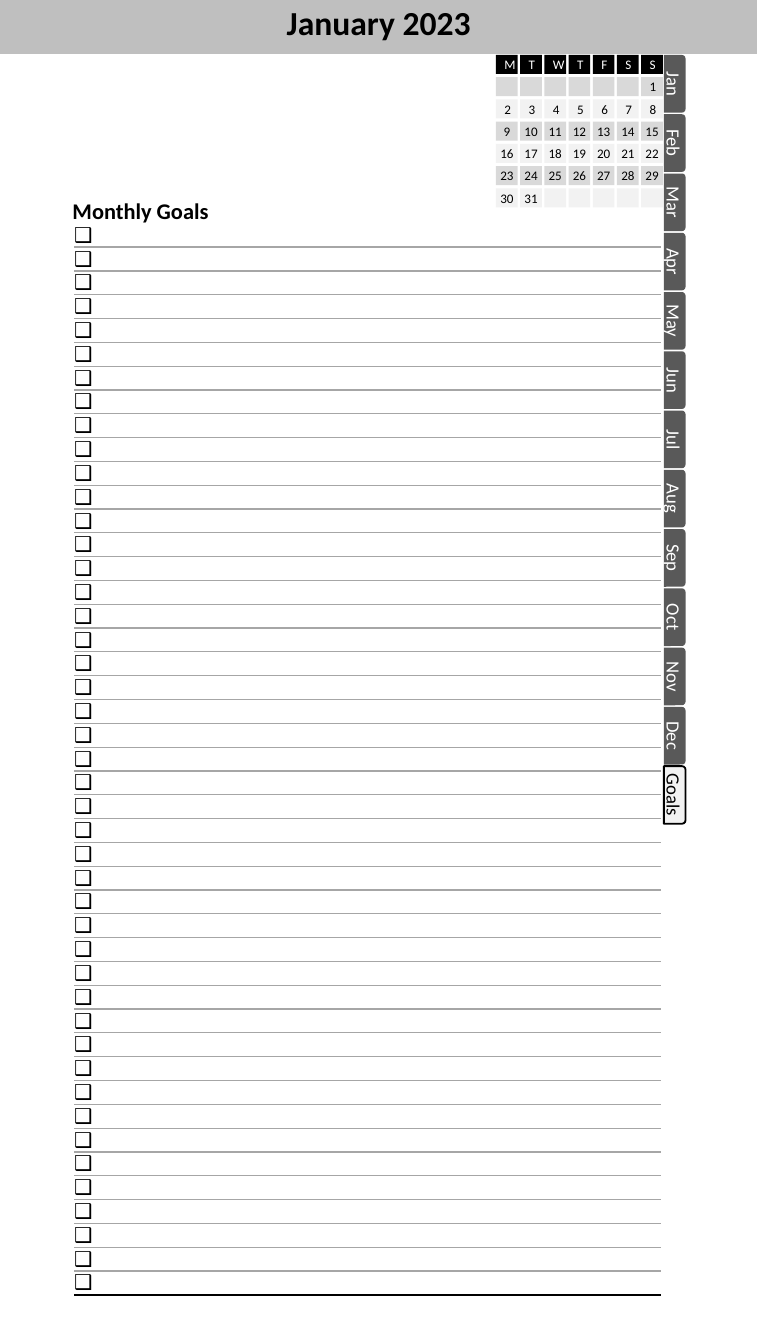
from lxml.etree import SubElement
from pptx import Presentation
from pptx.dml.color import RGBColor
from pptx.enum.shapes import MSO_SHAPE as Preset
from pptx.enum.text import MSO_ANCHOR as Anchor, PP_ALIGN as Align
from pptx.oxml import parse_xml
from pptx.oxml.ns import nsdecls, qn
from pptx.util import Cm, Pt

COLORS = {
    "band": "BFBFBF", "rule": "A6A6A6", "tab": "595959", "black": "000000",
    "white": "FFFFFF", "light": "F2F2F2", "mid": "D9D9D9",
}
NO_TABLE_STYLE = "{2D5ABB26-0587-4C30-8999-92F81FD0307C}"


def write(shape, text, size, color, bold=False, align=Align.CENTER):
    paragraph = shape.text_frame.paragraphs[0]
    paragraph.alignment = align
    run = paragraph.add_run()
    run.text = text
    font_format = {"name": "Calibri", "size": Pt(size), "bold": bold}
    for name, value in font_format.items():
        setattr(run.font, name, value)
    run.font.color.rgb = RGBColor.from_string(COLORS[color])


def add_box(shapes, preset, place, fill, zero_inset=True):
    shape = shapes.add_shape(preset, *[Cm(length) for length in place])
    shape.shadow.inherit = False
    shape.fill.solid()
    shape.fill.fore_color.rgb = RGBColor.from_string(COLORS[fill])
    shape.line.fill.background()
    shape.text_frame.vertical_anchor = Anchor.MIDDLE
    if zero_inset:
        for side in ("left", "top", "right", "bottom"):
            setattr(shape.text_frame, f"margin_{side}", 0)
    return shape


presentation = Presentation()
presentation.slide_width = Cm(14.3)
presentation.slide_height = Cm(25.4)
slide = presentation.slides.add_slide(presentation.slide_layouts[6])

# Header band
add_box(slide.shapes, Preset.RECTANGLE, (0, 0, 14.3, 1.02), "band")

# Goal list: one ruled row with a checkbox bullet per goal
GOAL_COUNT, ROW_HEIGHT = 45, 0.45
frame = slide.shapes.add_table(GOAL_COUNT, 1, Cm(1.4), Cm(4.22), Cm(11.08),
                               Cm(GOAL_COUNT * ROW_HEIGHT))
table = frame.table
table.first_row = table.horz_banding = False
table._tbl.tblPr.find(qn("a:tableStyleId")).text = NO_TABLE_STYLE
for index, row in enumerate(table.rows):
    row.height = Cm(ROW_HEIGHT)
    cell = row.cells[0]
    cell.fill.background()
    cell.vertical_anchor = Anchor.MIDDLE
    for side in ("left", "top", "right", "bottom"):
        setattr(cell, f"margin_{side}", 0)
    write(cell, " ", 10, "black", align=Align.LEFT)
    bullet = cell.text_frame.paragraphs[0]._p.get_or_add_pPr()
    bullet.set("marL", str(Cm(0.45)))
    bullet.set("indent", str(-Cm(0.45)))
    SubElement(bullet, qn("a:buSzPct"), val="110000")
    SubElement(bullet, qn("a:buFont"), typeface="Calibri")
    SubElement(bullet, qn("a:buChar"), char="❑")
    last = index == GOAL_COUNT - 1
    color, width = ("black", 1) if last else ("rule", 0.75)
    cell._tc.get_or_add_tcPr().insert(0, parse_xml(
        f'<a:lnB {nsdecls("a")} w="{Pt(width)}"><a:solidFill>'
        f'<a:srgbClr val="{COLORS[color]}"/></a:solidFill></a:lnB>'))

# Headings
heading = slide.shapes.add_textbox(Cm(1.12), Cm(3.61), Cm(3.12), Cm(0.76))
heading.text_frame.word_wrap = False
write(heading, "Monthly Goals", 12, "black", bold=True, align=Align.LEFT)

title = slide.shapes.add_textbox(Cm(3.23), 0, Cm(7.85), Cm(1.02))
title.text_frame.word_wrap = True
write(title, "January 2023", 18, "black", bold=True)
title.text_frame.paragraphs[0].line_spacing = 0.9

# Side tabs, turned to read downwards
tabs = ["Jan", "Feb", "Mar", "Apr", "May", "Jun", "Jul", "Aug", "Sep",
        "Oct", "Nov", "Dec", "Goals"]
for index, label in enumerate(tabs):
    active = label == "Goals"
    tab = add_box(slide.shapes, Preset.ROUND_2_SAME_RECTANGLE,
                  (12.2, 1.38 + index * 1.12, 1.09, 0.41),
                  "light" if active else "tab")
    tab.rotation = 90
    write(tab, label, 10, "black" if active else "white")
    if active:
        tab.line.color.rgb = RGBColor.from_string(COLORS["black"])
        tab.line.width = Pt(1)

# Mini calendar: weekday row, then six weeks starting on Monday
FIRST_WEEKDAY, DAY_COUNT = 6, 31
COLUMN_STEP = 3.2 / 7
calendar = slide.shapes.add_group_shape()
for row in range(7):
    for column in range(7):
        day = (row - 1) * 7 + column - FIRST_WEEKDAY + 1
        if row == 0:
            fill, color, text = "black", "white", "MTWTFSS"[column]
        else:
            fill, color = ("mid" if row % 2 else "light"), "black"
            text = str(day) if 1 <= day <= DAY_COUNT else ""
        place = (9.37 + column * COLUMN_STEP, 1.04 + row * 0.42, 0.41, 0.36)
        box = add_box(calendar.shapes, Preset.RECTANGLE, place, fill,
                      zero_inset=row > 2)
        if text:
            write(box, text, 7, color)

presentation.save("out.pptx")
